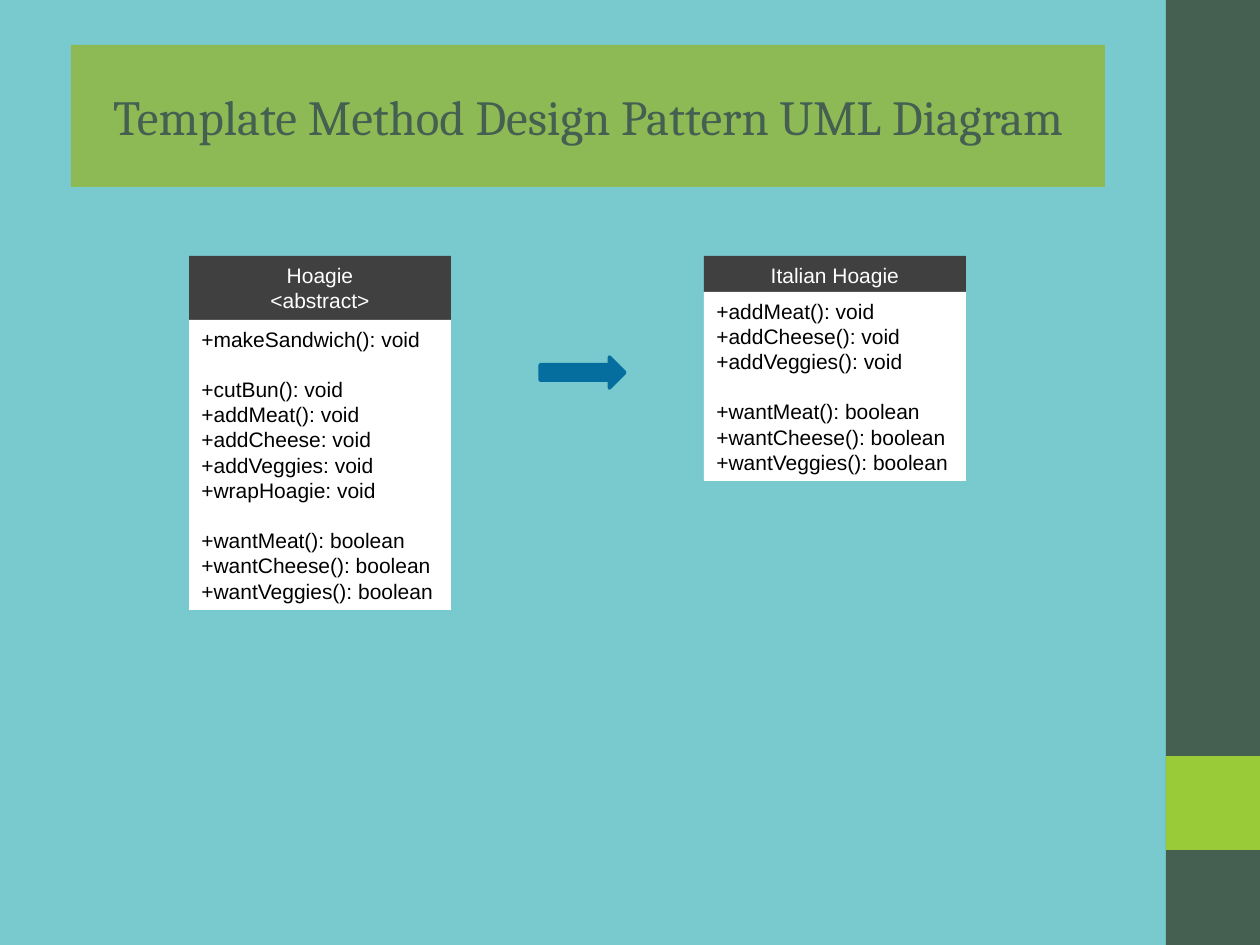
import pptx
import pptx.dml.color
import pptx.enum.shapes
import pptx.enum.text
import pptx.util

THEME = {
    "background": "78CACF",
    "sidebar": "455F51",
    "accent": "99CB38",
    "title_fill": "8DBA55",
    "title_text": "455F51",
    "header_fill": "404040",
    "header_text": "FFFFFF",
    "body_fill": "FFFFFF",
    "body_text": "000000",
    "arrow": "066E9F",
    "title_font": "Cambria",
    "class_font": "Arial",
    "title_size": 28,
    "class_size": 12,
    "line_height": 14.4,
}
PX = 914400 // 126
ALIGN = pptx.enum.text.PP_ALIGN
ANCHOR = pptx.enum.text.MSO_ANCHOR
SHAPE = pptx.enum.shapes.MSO_SHAPE


def color(name):
    return pptx.dml.color.RGBColor.from_string(THEME[name])


def add_block(left, top, width, height, fill, groups=(), text_color="body_text",
              role="class", align=ALIGN.LEFT, anchor=ANCHOR.TOP, kind=SHAPE.RECTANGLE):
    shape = slide.shapes.add_shape(kind, left * PX, top * PX, width * PX, height * PX)
    shape.shadow.inherit = False
    shape.fill.solid()
    shape.fill.fore_color.rgb = color(fill)
    shape.line.fill.background()
    frame = shape.text_frame
    frame.word_wrap = True
    frame.vertical_anchor = anchor
    lines = [(line, number > 0 and position == 0)
             for number, group in enumerate(groups)
             for position, line in enumerate(group)]
    for index, (line, starts_group) in enumerate(lines):
        paragraph = frame.add_paragraph() if index else frame.paragraphs[0]
        paragraph.text = line
        paragraph.alignment = align
        if role == "class":
            paragraph.line_spacing = pptx.util.Pt(THEME["line_height"])
        if starts_group:
            paragraph.space_before = pptx.util.Pt(THEME["line_height"])
        paragraph.font.name = THEME[role + "_font"]
        paragraph.font.size = pptx.util.Pt(THEME[role + "_size"])
        paragraph.font.color.rgb = color(text_color)
    return shape


presentation = pptx.Presentation()
presentation.slide_width = 1260 * PX
presentation.slide_height = 945 * PX
slide = presentation.slides.add_slide(presentation.slide_layouts[6])
slide.background.fill.solid()
slide.background.fill.fore_color.rgb = color("background")

add_block(1166, 0, 94, 945, "sidebar")
add_block(1166, 756, 94, 94, "accent")
add_block(71, 45, 1034, 142, "title_fill", [["Template Method Design Pattern UML Diagram"]],
          "title_text", "title", ALIGN.CENTER, ANCHOR.MIDDLE)

wants = ["+wantMeat(): boolean", "+wantCheese(): boolean", "+wantVeggies(): boolean"]
classes = [
    (189, 64, 290, ["Hoagie", "<abstract>"], [
        ["+makeSandwich(): void"],
        ["+cutBun(): void", "+addMeat(): void", "+addCheese: void",
         "+addVeggies: void", "+wrapHoagie: void"],
        wants,
    ]),
    (704, 36, 189, ["Italian Hoagie"], [
        ["+addMeat(): void", "+addCheese(): void", "+addVeggies(): void"],
        wants,
    ]),
]
class_top, class_width = 256, 262
for left, header_height, body_height, names, methods in classes:
    add_block(left, class_top, class_width, header_height, "header_fill", [names],
              "header_text", align=ALIGN.CENTER)
    add_block(left, class_top + header_height, class_width, body_height, "body_fill", methods)

arrow = add_block(540, 357, 85, 31, "arrow", kind=SHAPE.RIGHT_ARROW)
arrow.line.color.rgb = color("arrow")
arrow.line.width = pptx.util.Pt(2)

presentation.save("out.pptx")
